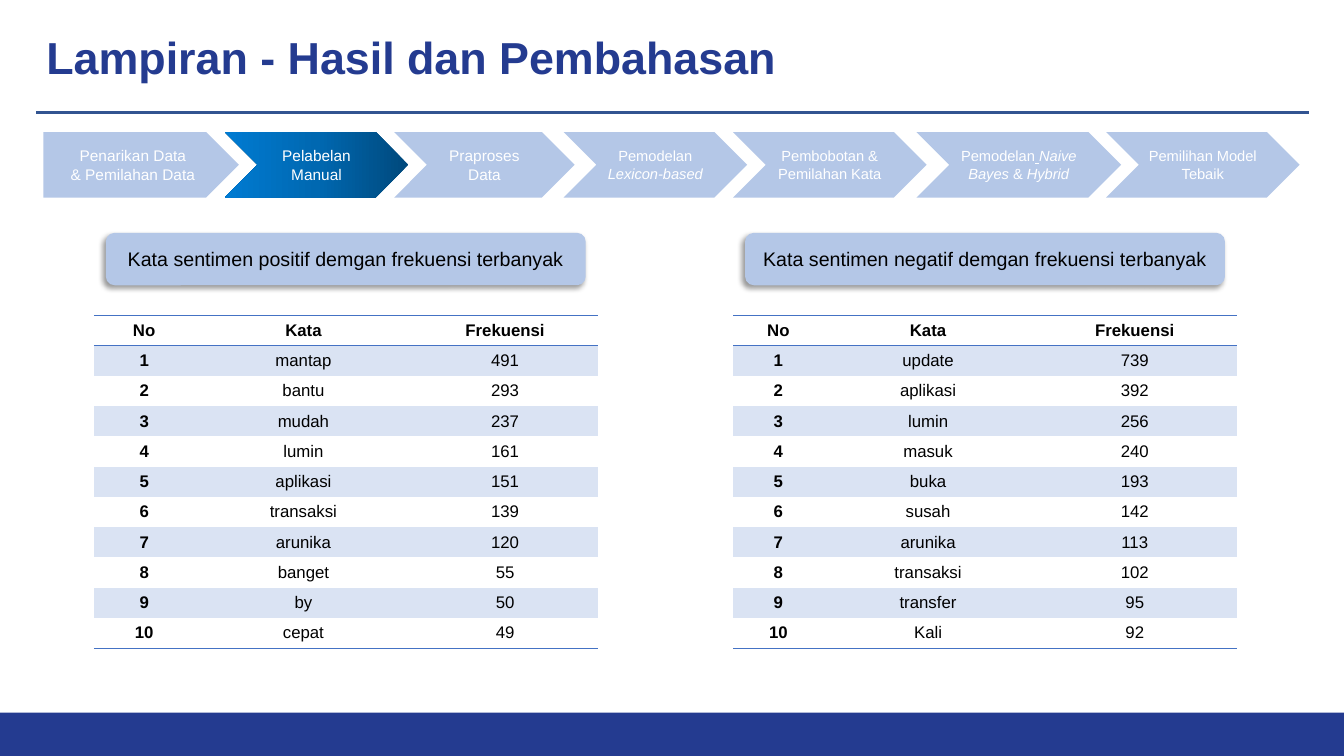
from copy import deepcopy
from lxml.etree import SubElement
from pptx import Presentation
from pptx.dml.color import RGBColor
from pptx.enum.shapes import MSO_CONNECTOR, MSO_SHAPE
from pptx.enum.text import MSO_ANCHOR, PP_ALIGN
from pptx.oxml.ns import qn
from pptx.util import Inches, Pt

WIDTH, HEIGHT = 13.33, 7.5
NAVY, RULE, PALE, BAND, BORDER = "243B90", "325491", "B4C7E7", "DAE3F3", "4472C4"
WHITE, BLACK = "FFFFFF", "000000"
NO_STYLE = "{2D5ABB26-0587-4C30-8999-92F81FD0307C}"
GRADIENT = ["00497C", "0068B1", "007BD2"]

# Left, width, text size, paragraphs of (text, style) runs
STEPS = [
    (0.43, 1.94, 11, [[("Penarikan Data", "")], [("& Pemilahan Data", "")]]),
    (2.23, 1.82, 11, [[("Pelabelan Manual", "")]]),
    (3.91, 1.79, 11, [[("Praproses Data", "")]]),
    (5.59, 1.82, 10.5, [[("Pemodelan ", ""), ("Lexicon-based", "i")]]),
    (7.27, 1.92, 10.5, [[("Pembobotan & Pemilahan Kata", "")]]),
    (9.09, 2.03, 10.5, [[("Pemodelan", ""), (" ", "iu"), ("Naive Bayes ", "i"),
                         ("&", ""), (" Hybrid", "i")]]),
    (10.97, 1.92, 10.5, [[("Pemilihan Model Tebaik", "")]]),
]
ACTIVE_STEP = 1

POSITIVE = [("mantap", 491), ("bantu", 293), ("mudah", 237), ("lumin", 161),
            ("aplikasi", 151), ("transaksi", 139), ("arunika", 120),
            ("banget", 55), ("by", 50), ("cepat", 49)]
NEGATIVE = [("update", 739), ("aplikasi", 392), ("lumin", 256), ("masuk", 240),
            ("buka", 193), ("susah", 142), ("arunika", 113),
            ("transaksi", 102), ("transfer", 95), ("Kali", 92)]


def color(value):
    return RGBColor.from_string(value)


def box(*lengths):
    return [Inches(length) for length in lengths]


def format_paragraph(paragraph, size, text_color, bold=False, align=PP_ALIGN.CENTER):
    paragraph.alignment = align
    paragraph.font.name = "Arial"
    paragraph.font.size = Pt(size)
    paragraph.font.bold = bold
    paragraph.font.color.rgb = color(text_color)


def add_block(slide, kind, bounds, fill):
    """Add a flat preset shape without outline or shadow."""
    shape = slide.shapes.add_shape(kind, *box(*bounds))
    shape.shadow.inherit = False
    shape.fill.solid()
    shape.fill.fore_color.rgb = color(fill)
    shape.line.fill.background()
    shape.text_frame.vertical_anchor = MSO_ANCHOR.MIDDLE
    return shape


def add_frame(slide):
    """Place the title, the rule under it and the footer bar."""
    title = slide.shapes.title
    title.left, title.top, title.width, title.height = box(0.36, 0.24, 7.5, 0.64)
    frame = title.text_frame
    frame.text = "Lampiran - Hasil dan Pembahasan"
    frame.word_wrap = False
    frame.vertical_anchor = MSO_ANCHOR.TOP
    format_paragraph(frame.paragraphs[0], 32, NAVY, True, PP_ALIGN.LEFT)

    rule = slide.shapes.add_connector(MSO_CONNECTOR.STRAIGHT, *box(0.36, 1.12, 12.98, 1.12))
    rule.line.color.rgb = color(RULE)
    rule.line.width = Pt(2.25)
    SubElement(rule._element.spPr, qn("a:effectLst"))

    add_block(slide, MSO_SHAPE.RECTANGLE, (0, HEIGHT - 0.43, WIDTH, 0.43), NAVY)


def fill_gradient(shape):
    shape.fill.gradient()
    shape.fill.gradient_angle = 180
    stop_list = shape._element.spPr.find(qn("a:gradFill")).find(qn("a:gsLst"))
    middle = deepcopy(stop_list[0])
    stop_list.insert(1, middle)
    for index, (stop, value) in enumerate(zip(shape.fill.gradient_stops, GRADIENT)):
        stop.position = index / 2
        stop.color.rgb = color(value)


def add_process(slide, top, height):
    for index, (left, width, size, paragraphs) in enumerate(STEPS):
        kind = MSO_SHAPE.CHEVRON if index else MSO_SHAPE.PENTAGON
        shape = add_block(slide, kind, (left, top, width, height), PALE)
        if index == ACTIVE_STEP:
            fill_gradient(shape)
        frame = shape.text_frame
        for number, runs in enumerate(paragraphs):
            paragraph = frame.add_paragraph() if number else frame.paragraphs[0]
            format_paragraph(paragraph, size, WHITE)
            for text, style in runs:
                run = paragraph.add_run()
                run.text = text
                if "i" in style:
                    run.font.italic = True
                if "u" in style:
                    run.font.underline = True


def add_shadow(shape):
    effects = shape._element.spPr.find(qn("a:effectLst"))
    shadow = SubElement(effects, qn("a:outerShdw"), blurRad=str(Pt(4)), dist=str(Pt(3)),
                        dir=str(135 * 60000), algn="tr", rotWithShape="0")
    shade = SubElement(shadow, qn("a:srgbClr"), val=BLACK)
    SubElement(shade, qn("a:alpha"), val="40000")


def add_borders(cell, sides):
    properties = cell._tc.get_or_add_tcPr()
    for position, side in enumerate(sides):
        line = properties.makeelement(qn(f"a:{side}"), {"w": str(Pt(1))})
        fill = SubElement(line, qn("a:solidFill"))
        SubElement(fill, qn("a:srgbClr"), val=BORDER)
        properties.insert(position, line)


def add_word_table(slide, left, top, columns, words, row_height=0.3):
    rows = [("No", "Kata", "Frekuensi")]
    rows += [(number, *word) for number, word in enumerate(words, 1)]
    bounds = box(left, top, sum(columns), row_height * len(rows))
    table = slide.shapes.add_table(len(rows), len(columns), *bounds).table
    table._tbl.tblPr.find(qn("a:tableStyleId")).text = NO_STYLE
    table.horz_banding = False
    for column, width in zip(table.columns, columns):
        column.width = Inches(width)
    borders = {0: ["lnT", "lnB"], len(rows) - 1: ["lnB"]}
    for row_index, values in enumerate(rows):
        table.rows[row_index].height = Inches(row_height)
        for column_index, value in enumerate(values):
            cell = table.cell(row_index, column_index)
            cell.text = str(value)
            cell.vertical_anchor = MSO_ANCHOR.MIDDLE
            cell.margin_left = cell.margin_right = Inches(0.07)
            cell.margin_top = cell.margin_bottom = 0
            if row_index % 2:
                cell.fill.solid()
                cell.fill.fore_color.rgb = color(BAND)
            else:
                cell.fill.background()
            add_borders(cell, borders.get(row_index, []))
            bold = row_index == 0 or column_index == 0
            format_paragraph(cell.text_frame.paragraphs[0], 12, BLACK, bold)


def add_word_panel(slide, left, top, heading, columns, words):
    """Place a shadowed heading with its frequency table below."""
    label = add_block(slide, MSO_SHAPE.ROUNDED_RECTANGLE, (left + 0.12, top, 4.76, 0.52), PALE)
    add_shadow(label)
    label.text_frame.text = heading
    format_paragraph(label.text_frame.paragraphs[0], 14, BLACK)
    add_word_table(slide, left, top + 0.82, columns, words)


def main():
    presentation = Presentation()
    presentation.slide_width, presentation.slide_height = box(WIDTH, HEIGHT)
    slide = presentation.slides.add_slide(presentation.slide_layouts[5])
    add_frame(slide)
    add_process(slide, 1.31, 0.65)
    add_word_panel(slide, 0.93, 2.31, "Kata sentimen positif demgan frekuensi terbanyak",
                   (1, 2.16, 1.84), POSITIVE)
    add_word_panel(slide, 7.27, 2.31, "Kata sentimen negatif demgan frekuensi terbanyak",
                   (0.9, 2.07, 2.03), NEGATIVE)
    presentation.save("out.pptx")


if __name__ == "__main__":
    main()
